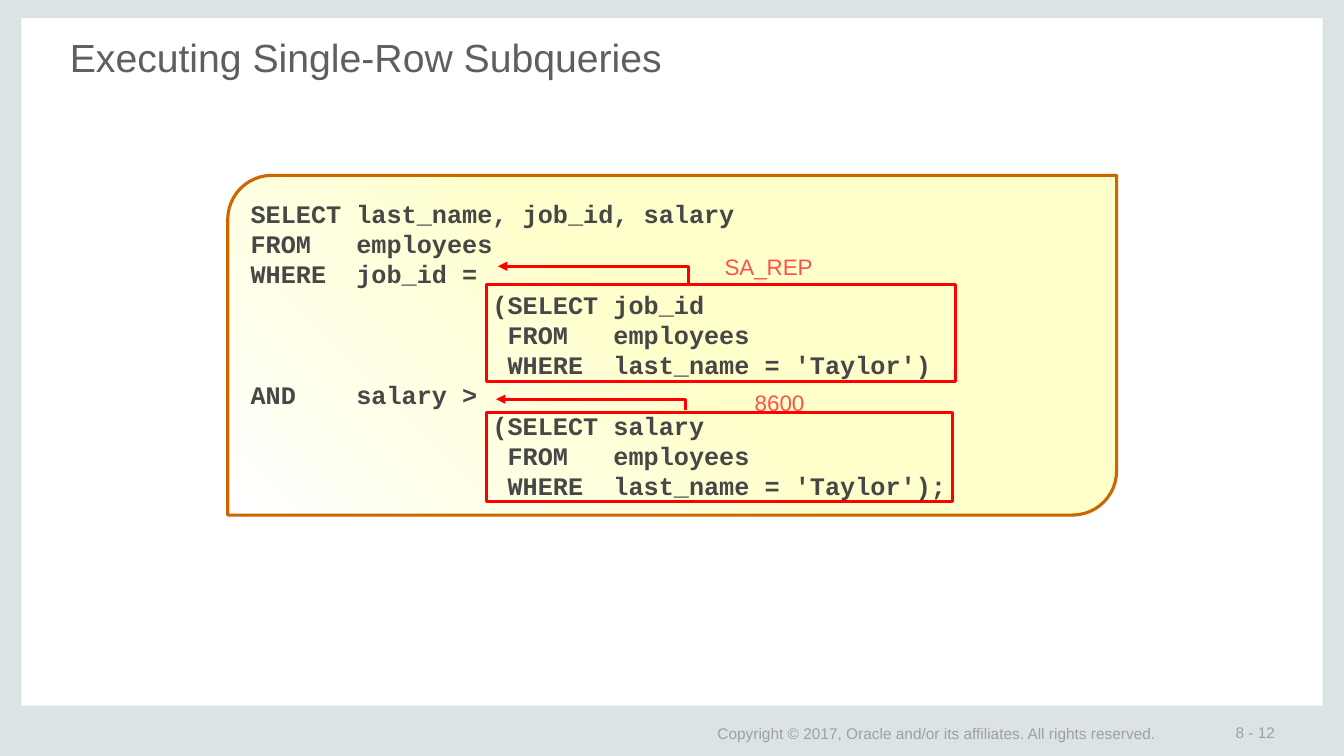
from copy import deepcopy

from lxml import etree
from pptx import Presentation
from pptx.dml.color import RGBColor
from pptx.enum.shapes import MSO_SHAPE
from pptx.enum.text import MSO_ANCHOR, PP_ALIGN
from pptx.oxml.ns import qn
from pptx.util import Cm, Pt

RECT, ROUND_DIAG = MSO_SHAPE.RECTANGLE, MSO_SHAPE.ROUND_2_DIAG_RECTANGLE
TOP, MIDDLE, LEFT = MSO_ANCHOR.TOP, MSO_ANCHOR.MIDDLE, PP_ALIGN.LEFT
COLORS = {"frame": "DCE3E4", "footer": "9F9F9F", "title": "5F5F5F", "code": "474747",
          "cream": "FFFFCC", "white": "FFFFFF", "border": "CC6600",
          "red": "FF0000", "result": "FF5050"}
CODE = """SELECT last_name, job_id, salary
FROM   employees
WHERE  job_id =
                (SELECT job_id
                 FROM   employees
                 WHERE  last_name = 'Taylor')
AND    salary >
                (SELECT salary
                 FROM   employees
                 WHERE  last_name = 'Taylor');"""


def write(shape, text, size, color, insets, font="Arial", bold=False, spacing=None,
          anchor=TOP, wrap=False):
    tf = shape.text_frame
    tf.text = text
    tf.word_wrap = wrap
    tf.vertical_anchor = anchor
    tf.margin_left, tf.margin_top, tf.margin_right, tf.margin_bottom = map(Cm, insets)
    for p in tf.paragraphs:
        p.alignment = LEFT
        p.space_before = Pt(0)
        if spacing:
            p.line_spacing = spacing
        for r in p.runs:
            r.font.name, r.font.size, r.font.bold = font, Pt(size), bold
            r.font.color.rgb = RGBColor.from_string(COLORS[color])


def outline(shape, color):
    shape.shadow.inherit = False
    shape.line.color.rgb = RGBColor.from_string(COLORS[color])
    shape.line.width = Pt(2.25)


prs = Presentation()
prs.slide_width, prs.slide_height = Cm(33.87), Cm(19.05)
s = prs.slides.add_slide(prs.slide_layouts[5])

# Frame around the page
for box in [(33.33, 0, 0.54, 19.05), (0, 0, 0.54, 19.05),
            (0, 17.78, 33.87, 1.27), (0, 0, 33.87, 0.46)]:
    bar = s.shapes.add_shape(RECT, *map(Cm, box))
    bar.shadow.inherit = False
    bar.fill.solid()
    bar.fill.fore_color.rgb = RGBColor.from_string(COLORS["frame"])
    bar.line.fill.background()

# Footer
for text, box in [
        ("8 - 12", (30.81, 18.21, 3, 0.51)),
        ("Copyright © 2017, Oracle and/or its affiliates. All rights reserved.",
         (17.75, 18.21, 13.56, 0.56))]:
    tb = s.shapes.add_textbox(*map(Cm, box))
    write(tb, text, 11, "footer", (0.33, 0.18, 0.33, 0.18), anchor=MIDDLE)

# Title
title = s.shapes.title
title.left, title.top, title.width, title.height = map(Cm, (1.73, 0.81, 30.4, 2.44))
write(title, "Executing Single-Row Subqueries", 28, "title", (0.03,) * 4, wrap=True)

# Code panel with a gradient from cream to white
panel = s.shapes.add_shape(ROUND_DIAG, Cm(5.74), Cm(4.42), Cm(22.4), Cm(8.56))
panel.adjustments[0], panel.adjustments[1] = 0.13, 0
outline(panel, "border")
panel.fill.gradient()
panel.fill.gradient_angle = 225
stop_list = panel._element.spPr.find(qn("a:gradFill")).find(qn("a:gsLst"))
stop_list.append(deepcopy(stop_list[-1]))
for stop, position, color in zip(panel.fill.gradient_stops, (0, 0.5, 1),
                                 ("cream", "cream", "white")):
    stop.position = position
    stop.color.rgb = RGBColor.from_string(COLORS[color])
write(panel, CODE, 18, "code", (0.25, 0.25, 0.03, 0), font="Courier New", bold=True,
      spacing=Pt(21.6), wrap=True)

# Subqueries: result, box around the code, arrow to the condition
for result, label_box, query_box, points in [
        ("SA_REP", (18.01, 6.12, 2.77, 1.07), (12.27, 7.16, 11.81, 2.46),
         [(17.35, 7.14), (17.35, 6.71), (12.55, 6.71)]),
        ("8600", (18.77, 9.53, 1.78, 1.07), (12.27, 10.39, 11.73, 2.24),
         [(17.27, 10.34), (17.27, 10.06), (12.5, 10.06)])]:
    tb = s.shapes.add_textbox(*map(Cm, label_box))
    write(tb, result, 16, "result", (0.25, 0.13, 0.25, 0.13), spacing=1.2)

    query = s.shapes.add_shape(RECT, *map(Cm, query_box))
    query.fill.background()
    outline(query, "red")

    start, *rest = [(Cm(x), Cm(y)) for x, y in points]
    builder = s.shapes.build_freeform(*start)
    builder.add_line_segments(rest, close=False)
    arrow = builder.convert_to_shape()
    arrow.fill.background()
    outline(arrow, "red")
    etree.SubElement(arrow.line._get_or_add_ln(), qn("a:tailEnd"), type="triangle")

prs.save("out.pptx")
